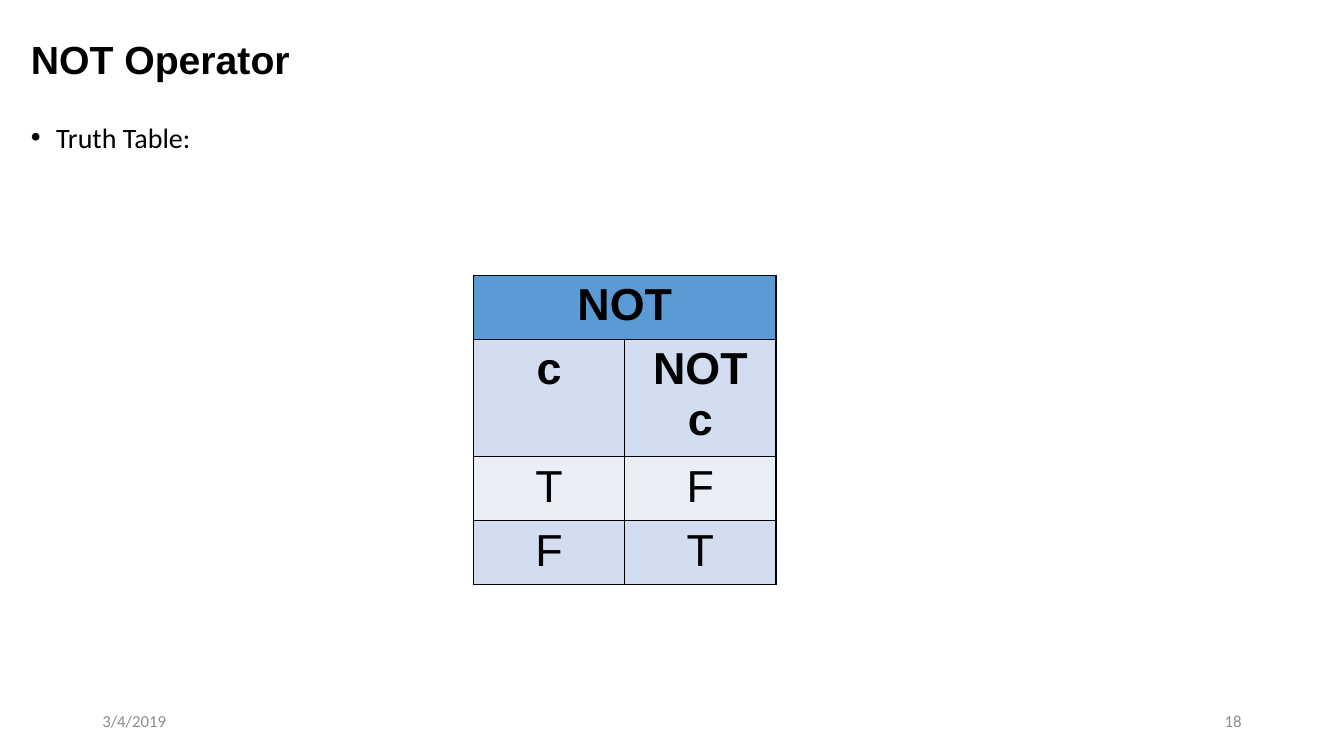
from dataclasses import dataclass, field
from typing import Any

from lxml import etree
from pptx import Presentation
from pptx.dml.color import RGBColor
from pptx.enum.text import MSO_ANCHOR, PP_ALIGN
from pptx.oxml.ns import qn
from pptx.slide import Slide
from pptx.table import _Cell
from pptx.text.text import _Paragraph
from pptx.util import Emu, Pt

EMU_PER_PX = 9525
SLIDE_WIDTH, SLIDE_HEIGHT = 1280, 720
BULLET_INDENT = 24

TOP, MIDDLE = MSO_ANCHOR.TOP, MSO_ANCHOR.MIDDLE
LEFT, CENTER, RIGHT = PP_ALIGN.LEFT, PP_ALIGN.CENTER, PP_ALIGN.RIGHT

BLACK = RGBColor(0x00, 0x00, 0x00)
GRAY = RGBColor(0x8C, 0x8C, 0x8C)
HEADER_BLUE = RGBColor(0x5B, 0x9B, 0xD5)
BAND_BLUE = RGBColor(0xD2, 0xDE, 0xEF)
PALE_BLUE = RGBColor(0xEA, 0xEF, 0xF7)


@dataclass(frozen=True)
class TextStyle:
    font: str
    size: int
    color: RGBColor = BLACK
    bold: bool = False


@dataclass(frozen=True)
class TextBlock:
    text: str
    left: int
    top: int
    width: int
    height: int
    style: TextStyle
    anchor: MSO_ANCHOR = MIDDLE
    bullet: bool = False
    paragraph_format: dict[str, Any] = field(default_factory=dict)


@dataclass(frozen=True)
class TruthRow:
    values: tuple[str, ...]
    fill: RGBColor
    bold: bool = False


FOOTER = TextStyle("Calibri", 12, GRAY)

TEXT_BLOCKS = (
    TextBlock("NOT Operator", 20, 0, 1104, 118, TextStyle("Arial", 28, bold=True),
              paragraph_format={"line_spacing": 0.9}),
    TextBlock("Truth Table:", 20, 110, 1217, 544, TextStyle("Calibri", 20),
              anchor=TOP, bullet=True,
              paragraph_format={"space_before": Pt(6), "space_after": Pt(6)}),
    TextBlock("3/4/2019", 88, 667, 288, 38, FOOTER),
    TextBlock("18", 904, 667, 288, 38, FOOTER,
              paragraph_format={"alignment": RIGHT}),
)

TABLE_LEFT, TABLE_TOP = 451, 262
COLUMN_WIDTH, ROW_HEIGHT = 144, 61
TRUTH_ROWS = (
    TruthRow(("NOT", ""), HEADER_BLUE, True),
    TruthRow(("c", "NOT c"), BAND_BLUE, True),
    TruthRow(("T", "F"), PALE_BLUE),
    TruthRow(("F", "T"), BAND_BLUE),
)


def px(length: int) -> Emu:
    return Emu(length * EMU_PER_PX)


def set_attributes(target: Any, values: dict[str, Any]) -> None:
    for name, value in values.items():
        setattr(target, name, value)


def write_text(paragraph: _Paragraph, text: str, style: TextStyle) -> None:
    run = paragraph.add_run()
    run.text = text
    set_attributes(run.font, {"name": style.font, "size": Pt(style.size), "bold": style.bold})
    run.font.color.rgb = style.color


def add_bullet(paragraph: _Paragraph) -> None:
    properties = paragraph._p.get_or_add_pPr()
    properties.set("marL", str(px(BULLET_INDENT)))
    properties.set("indent", str(px(-BULLET_INDENT)))
    etree.SubElement(properties, qn("a:buFont"), typeface="Arial")
    etree.SubElement(properties, qn("a:buChar"), char="•")


def draw_text_block(slide: Slide, block: TextBlock) -> None:
    box = slide.shapes.add_textbox(*map(px, (block.left, block.top, block.width, block.height)))
    set_attributes(box.text_frame, {"word_wrap": True, "vertical_anchor": block.anchor})
    paragraph = box.text_frame.paragraphs[0]
    set_attributes(paragraph, {"alignment": LEFT} | block.paragraph_format)
    if block.bullet:
        add_bullet(paragraph)
    write_text(paragraph, block.text, block.style)


def add_borders(cell: _Cell) -> None:
    properties = cell._tc.get_or_add_tcPr()
    for side in ("a:lnL", "a:lnR", "a:lnT", "a:lnB"):
        line = etree.SubElement(properties, qn(side), w=str(Pt(1)))
        solid = etree.SubElement(line, qn("a:solidFill"))
        etree.SubElement(solid, qn("a:srgbClr"), val=str(BLACK))


def draw_truth_table(slide: Slide, rows: tuple[TruthRow, ...]) -> None:
    column_count = len(rows[0].values)
    table = slide.shapes.add_table(
        len(rows), column_count, px(TABLE_LEFT), px(TABLE_TOP),
        px(COLUMN_WIDTH * column_count), px(ROW_HEIGHT * len(rows))).table
    set_attributes(table, {"first_row": False, "horz_banding": False})
    for column in table.columns:
        column.width = px(COLUMN_WIDTH)
    for row_index, row in enumerate(rows):
        table.rows[row_index].height = px(ROW_HEIGHT)
        style = TextStyle("Arial", 32, bold=row.bold)
        for column_index, value in enumerate(row.values):
            cell = table.cell(row_index, column_index)
            add_borders(cell)
            cell.fill.solid()
            cell.fill.fore_color.rgb = row.fill
            if value:
                paragraph = cell.text_frame.paragraphs[0]
                paragraph.alignment = CENTER
                write_text(paragraph, value, style)
    table.cell(0, 0).merge(table.cell(0, column_count - 1))


def main() -> None:
    presentation = Presentation()
    set_attributes(presentation, {"slide_width": px(SLIDE_WIDTH), "slide_height": px(SLIDE_HEIGHT)})
    slide = presentation.slides.add_slide(presentation.slide_layouts[6])
    for block in TEXT_BLOCKS:
        draw_text_block(slide, block)
    draw_truth_table(slide, TRUTH_ROWS)
    presentation.save("out.pptx")


if __name__ == "__main__":
    main()
